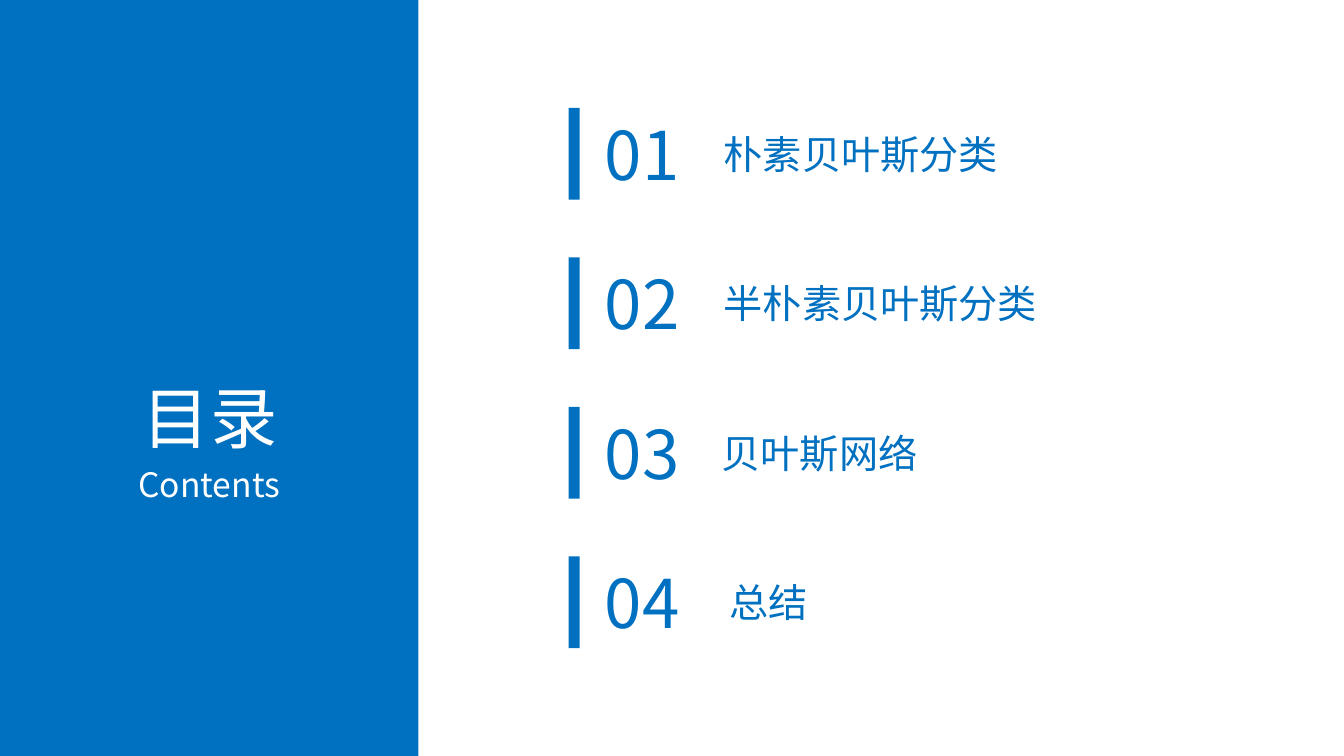
from lxml import etree
from pptx import Presentation
from pptx.dml.color import RGBColor
from pptx.enum import shapes, text
from pptx.oxml import ns
from pptx.util import Inches, Pt

BLUE = RGBColor(0x00, 0x70, 0xC0)
WHITE = RGBColor(0xFF, 0xFF, 0xFF)
FONT = "Noto Sans CJK SC"
LEFT, CENTER = text.PP_ALIGN.LEFT, text.PP_ALIGN.CENTER

CHAPTERS = [
    ("朴素贝叶斯分类", 1.44, 2.97),
    ("半朴素贝叶斯分类", 1.44, 3.85),
    ("贝叶斯网络", 1.42, 2.97),
    ("总结", 1.5, 2.97),
]


def add_bar(slide, left, top, width, height):
    sp = slide.shapes.add_shape(
        shapes.MSO_SHAPE.RECTANGLE,
        Inches(left), Inches(top), Inches(width), Inches(height))
    sp.shadow.inherit = False
    sp.fill.solid()
    sp.fill.fore_color.rgb = BLUE
    sp.line.fill.background()


def write(sp, words, size, color, align):
    tf = sp.text_frame
    tf.text = words
    tf.word_wrap = True
    tf.auto_size = text.MSO_AUTO_SIZE.SHAPE_TO_FIT_TEXT
    tf.vertical_anchor = text.MSO_ANCHOR.TOP
    p = tf.paragraphs[0]
    p.alignment = align
    r = p.runs[0]
    r.font.size = Pt(size)
    r.font.color.rgb = color
    r.font.name = FONT
    ea = etree.SubElement(r._r.get_or_add_rPr(), ns.qn("a:ea"))
    ea.set("typeface", FONT)


def add_text(slide, left, top, width, height, words, size, color, align):
    sp = slide.shapes.add_textbox(
        Inches(left), Inches(top), Inches(width), Inches(height))
    write(sp, words, size, color, align)


def add_title_panel(slide, left, top, width, height):
    add_bar(slide, left, top, width, height)
    title = slide.shapes.title
    slide.shapes._spTree.append(title._element)
    title.left, title.top = Inches(left + 1.18), Inches(top + 3.68)
    title.width, title.height = Inches(1.81), Inches(0.91)
    write(title, "目录", 48, WHITE, CENTER)
    add_text(slide, left + 1.08, top + 4.55, 1.99, 0.5,
             "Contents", 24, WHITE, CENTER)


def add_chapters(slide, left, top, pitch):
    for i, (name, indent, width) in enumerate(CHAPTERS):
        y = top + i * pitch
        add_text(slide, left + indent, y + 0.17, width, 0.57,
                 name, 28, BLUE, LEFT)
        add_text(slide, left + 0.18, y, 1.1, 0.91,
                 f"{i + 1:02}", 48, BLUE, CENTER)
        add_bar(slide, left, y, 0.11, 0.91)


def main():
    prs = Presentation()
    prs.slide_width, prs.slide_height = Inches(13.33), Inches(7.5)
    slide = prs.slides.add_slide(prs.slide_layouts[5])
    add_title_panel(slide, 0, 0, 4.15, 7.5)
    add_chapters(slide, 5.64, 1.07, 4.45 / 3)
    prs.save("out.pptx")


if __name__ == "__main__":
    main()
